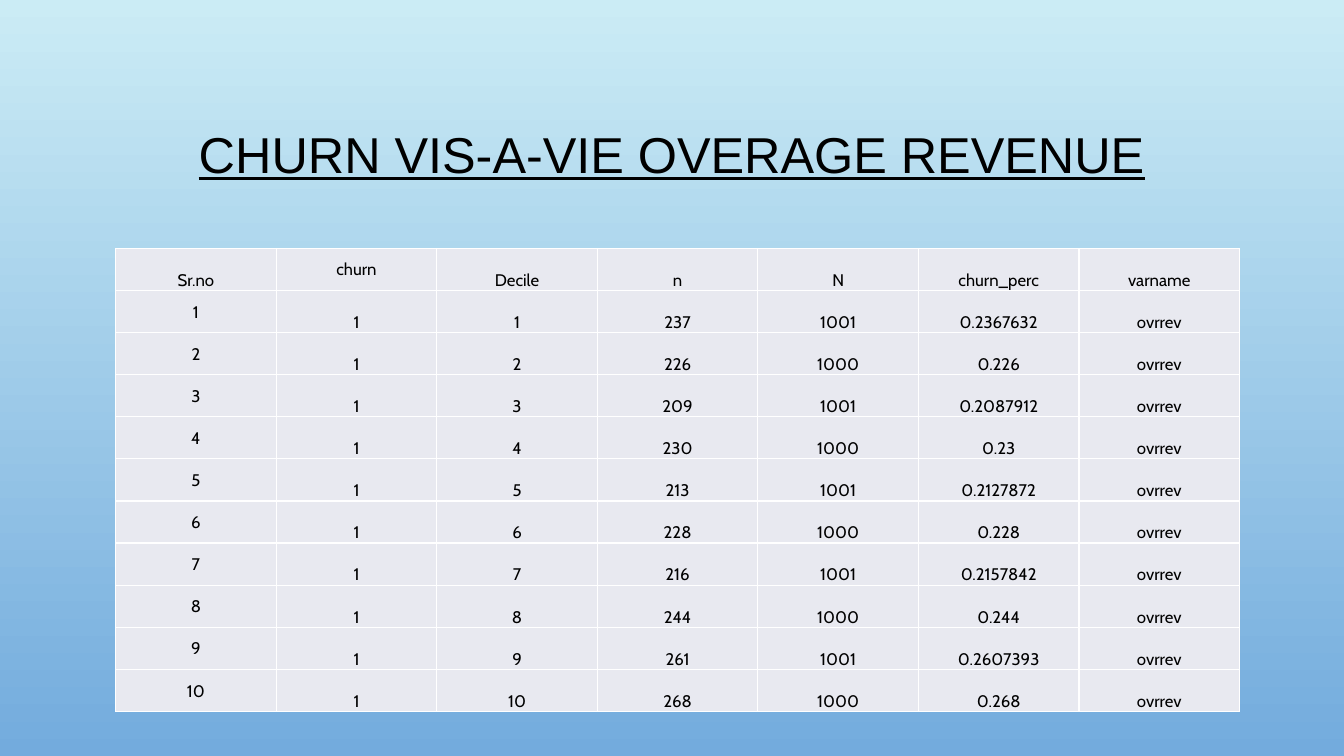
from lxml.etree import SubElement
from pptx import Presentation
from pptx.dml.color import RGBColor
from pptx.enum.text import MSO_ANCHOR, PP_ALIGN
from pptx.oxml.ns import qn
from pptx.util import Pt

COLORS = {
    "sky_top": "CBECF5",
    "sky_bottom": "73ABDD",
    "cell": "E8E9F0",
    "border": "FFFFFF",
    "text": "000000",
}
TITLE_FONT = {"name": "Arial", "size": Pt(36), "underline": True}
CELL_FONT = {"name": "Cabin", "size": Pt(12)}
CELL_FORMAT = {
    "margin_left": Pt(0.72),
    "margin_right": Pt(0.72),
    "margin_top": Pt(0.72),
    "margin_bottom": Pt(0),
}
COLUMN_WIDTH, ROW_HEIGHT = 114.7, 30.1


def write_text(paragraph, text, font_format):
    paragraph.alignment = PP_ALIGN.CENTER
    run = paragraph.add_run()
    run.text = text
    for name, value in font_format.items():
        setattr(run.font, name, value)
    run.font.color.rgb = RGBColor.from_string(COLORS["text"])


def add_borders(cell):
    properties = cell._tc.get_or_add_tcPr()
    for side in ("a:lnL", "a:lnR", "a:lnT", "a:lnB"):
        line = SubElement(properties, qn(side), w=str(Pt(1)))
        fill = SubElement(line, qn("a:solidFill"))
        SubElement(fill, qn("a:srgbClr"), val=COLORS["border"])


presentation = Presentation()
presentation.slide_width = Pt(960)
presentation.slide_height = Pt(540)
slide = presentation.slides.add_slide(presentation.slide_layouts[6])

# Background gradient, from top to bottom
background = slide.background.fill
background.gradient()
background.gradient_angle = 270
for stop, color in zip(background.gradient_stops, ("sky_top", "sky_bottom")):
    stop.color.rgb = RGBColor.from_string(COLORS[color])

# Title
title = slide.shapes.add_textbox(Pt(72), Pt(49), Pt(816), Pt(126))
title.text_frame.word_wrap = True
title.text_frame.vertical_anchor = MSO_ANCHOR.MIDDLE
title_paragraph = title.text_frame.paragraphs[0]
title_paragraph.line_spacing = 0.9
write_text(title_paragraph, "CHURN VIS-A-VIE OVERAGE REVENUE", TITLE_FONT)

# Table values: one row for each decile, with churn_perc = n / N
churned = [237, 226, 209, 230, 213, 228, 216, 244, 261, 268]
rows = [["Sr.no", "churn", "Decile", "n", "N", "churn_perc", "varname"]]
for decile, count in enumerate(churned, start=1):
    total = 1000 + decile % 2
    share = f"{count / total:.7g}"
    rows.append([str(decile), "1", str(decile), str(count), str(total), share, "ovrrev"])

# Table
table = slide.shapes.add_table(
    len(rows), len(rows[0]), Pt(82.6), Pt(177.4),
    Pt(COLUMN_WIDTH * len(rows[0])), Pt(ROW_HEIGHT * len(rows)),
).table
table.first_row = False
table.horz_banding = False
for column in table.columns:
    column.width = Pt(COLUMN_WIDTH)
for row in table.rows:
    row.height = Pt(ROW_HEIGHT)

# Cells: serial numbers and the churn heading sit in the middle, the rest at the bottom
for row_index, values in enumerate(rows):
    for column_index, value in enumerate(values):
        cell = table.cell(row_index, column_index)
        for name, setting in CELL_FORMAT.items():
            setattr(cell, name, setting)
        centred = column_index == (1 if row_index == 0 else 0)
        cell.vertical_anchor = MSO_ANCHOR.MIDDLE if centred else MSO_ANCHOR.BOTTOM
        add_borders(cell)
        cell.fill.solid()
        cell.fill.fore_color.rgb = RGBColor.from_string(COLORS["cell"])
        write_text(cell.text_frame.paragraphs[0], value, CELL_FONT)

presentation.save("out.pptx")
